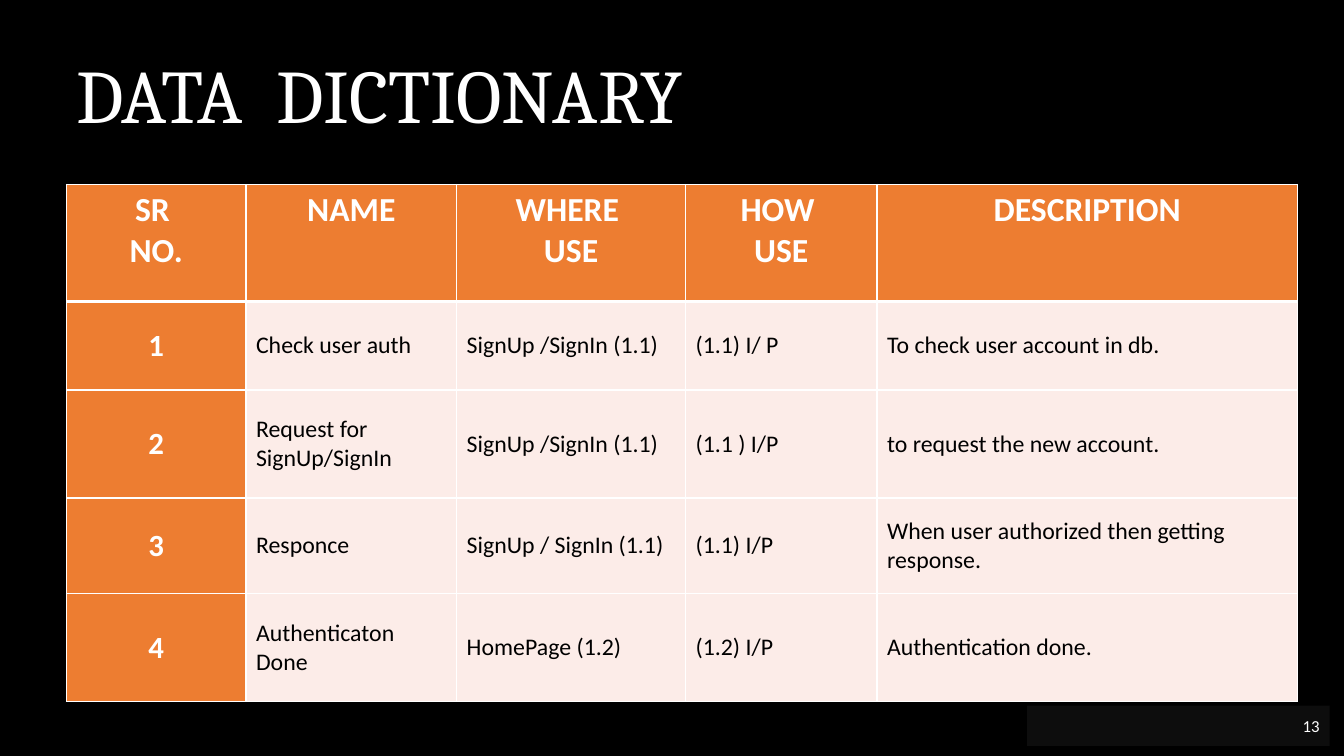
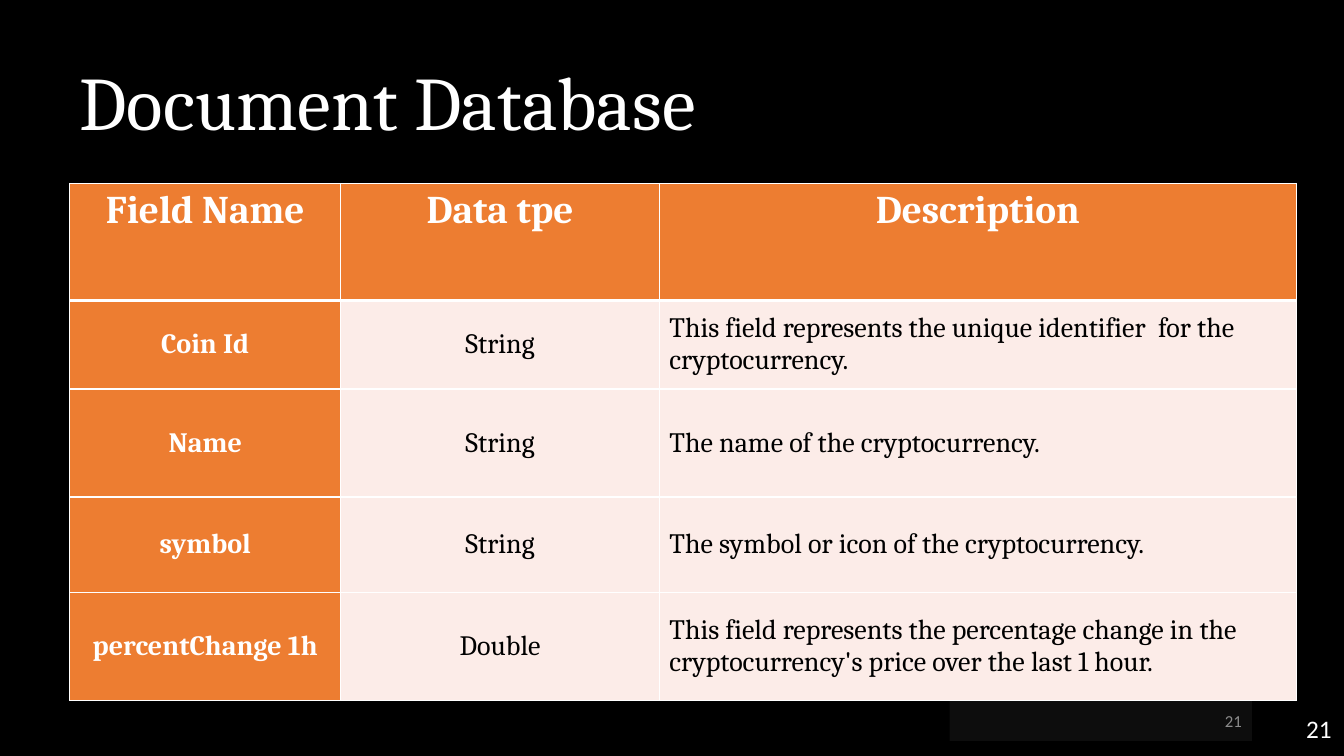
from lxml import etree
from pptx import Presentation
from pptx.dml.color import RGBColor
from pptx.enum.shapes import MSO_SHAPE
from pptx.enum.text import MSO_ANCHOR, MSO_AUTO_SIZE, PP_ALIGN
from pptx.oxml.ns import qn
from pptx.util import Inches, Pt

LEFT, MID, RIGHT = PP_ALIGN.LEFT, PP_ALIGN.CENTER, PP_ALIGN.RIGHT
TOP, CENTRE = MSO_ANCHOR.TOP, MSO_ANCHOR.MIDDLE
RECT, FIXED = MSO_SHAPE.RECTANGLE, MSO_AUTO_SIZE.NONE
SANS, SERIF = "Calibri", "Cambria"
HEX = {"black": "000000", "white": "FFFFFF", "orange": "ED7D31",
       "blush": "FCECE8", "bar": "0D0D0D", "grey": "8C8C8C"}
RGB = {key: RGBColor.from_string(code) for key, code in HEX.items()}

# Places are percentages of the slide's width and height.
TITLE_SIZE = 66.6, 6.27
BAR_SIZE = 22.5, 5.33
ROWS = [15.47, 11.73, 14.27, 12.67, 14.27]

PAGES = [
    {"title": "DATA  DICTIONARY", "number": "13", "ink": "white",
     "left": 4.95, "top": 10, "bar": (76.43, 93.33), "grid": 24.4,
     "cols": [13.35, 15.68, 17.03, 14.25, 31.28],
     "font": SANS, "sizes": (24, 22, 17), "centred": 1,
     "cells": [
         ["SR \nNO.", "NAME", "WHERE \nUSE", "HOW \nUSE", "DESCRIPTION"],
         ["1", "Check user auth", "SignUp /SignIn (1.1)", "(1.1) I/ P",
          "To check user account in db."],
         ["2", "Request for SignUp/SignIn", "SignUp /SignIn (1.1)",
          "(1.1 ) I/P", "to request the new account."],
         ["3", "Responce", "SignUp / SignIn (1.1)", "(1.1) I/P",
          "When user authorized then getting response."],
         ["4", "Authenticaton\nDone", "HomePage (1.2)", "(1.2) I/P",
          "Authentication done."]]},
    {"title": "Document Database", "number": "21", "ink": "grey",
     "left": 5.18, "top": 10.93, "bar": (70.65, 92.67), "grid": 24.27,
     "cols": [20.18, 23.7, 47.4],
     "font": SERIF, "sizes": (28, 20, 20), "centred": 2,
     "corner": (96.45, 93.73, 3.53, 6.27),
     "cells": [
         ["Field Name", "Data tpe", "Description"],
         ["Coin Id", "String", "This field represents the unique identifier"
          "  for the cryptocurrency."],
         ["Name", "String", "The name of the cryptocurrency."],
         ["symbol", "String", "The symbol or icon of the cryptocurrency."],
         ["percentChange 1h", "Double", "This field represents the percentage "
          "change in the cryptocurrency's price over the last 1 hour."]]},
]

deck = Presentation()
deck.slide_width, deck.slide_height = Inches(13.33), Inches(7.5)
back = deck.slide_master.background.fill
back.solid()
back.fore_color.rgb = RGB["black"]


def span(x, y, w, h):
    """Turn percentages of the slide into lengths."""
    return [int(deck.slide_width * x / 100), int(deck.slide_height * y / 100),
            int(deck.slide_width * w / 100), int(deck.slide_height * h / 100)]


def write(frame, text, align, ink, **style):
    """Fill a text frame and format each of its runs."""
    frame.text = text
    for para in frame.paragraphs:
        para.alignment = align
        for run in para.runs:
            run.font.color.rgb = RGB[ink]
            for key, value in style.items():
                setattr(run.font, key, value)


for page in PAGES:
    slide = deck.slides.add_slide(deck.slide_layouts[5])
    title = slide.shapes.title
    box = span(page["left"], page["top"], *TITLE_SIZE)
    for key, value in zip(("left", "top", "width", "height"), box):
        setattr(title, key, value)
    frame = title.text_frame
    frame.auto_size, frame.vertical_anchor = FIXED, CENTRE
    write(frame, page["title"], LEFT, "white", name=SERIF, size=Pt(54))
    frame.paragraphs[0].line_spacing = 0.9

    bar = slide.shapes.add_shape(RECT, *span(*page["bar"], *BAR_SIZE))
    bar.shadow.inherit = False
    bar.fill.solid()
    bar.fill.fore_color.rgb = RGB["bar"]
    bar.line.fill.background()
    bar.text_frame.vertical_anchor = CENTRE
    write(bar.text_frame, page["number"], RIGHT, page["ink"],
          name=SANS, size=Pt(12))

    cols, cells = page["cols"], page["cells"]
    place = span(page["left"], page["grid"], sum(cols), sum(ROWS))
    table = slide.shapes.add_table(len(ROWS), len(cols), *place).table
    table.first_row = table.horz_banding = False
    for col, share in zip(table.columns, cols):
        col.width = int(deck.slide_width * share / 100)
    for row, share in zip(table.rows, ROWS):
        row.height = int(deck.slide_height * share / 100)

    head, key_size, body = page["sizes"]
    for r, line in enumerate(cells):
        for c, text in enumerate(line):
            cell = table.cell(r, c)
            strong = r == 0 or c == 0
            size = head if r == 0 else key_size if c == 0 else body
            cell.vertical_anchor = TOP if r == 0 else CENTRE
            cell.fill.solid()
            cell.fill.fore_color.rgb = RGB["orange" if strong else "blush"]
            write(cell.text_frame, text,
                  MID if r == 0 or c < page["centred"] else LEFT,
                  "white" if strong else "black",
                  name=page["font"], size=Pt(size), bold=strong)
            edges = {"lnL": 1, "lnR": 1, "lnT": 3 if r == 1 else 1,
                     "lnB": 3 if r == 0 else 1}
            props = cell._tc.get_or_add_tcPr()
            for spot, (edge, width) in enumerate(edges.items()):
                rule = etree.Element(qn("a:" + edge), w=str(Pt(width)))
                paint = etree.SubElement(rule, qn("a:solidFill"))
                etree.SubElement(paint, qn("a:srgbClr"), val=HEX["white"])
                props.insert(spot, rule)

    if "corner" in page:
        corner = slide.shapes.add_textbox(*span(*page["corner"]))
        corner.text_frame.word_wrap = True
        write(corner.text_frame, page["number"], LEFT, "white",
              name=SANS, size=Pt(18))

deck.save("out.pptx")
